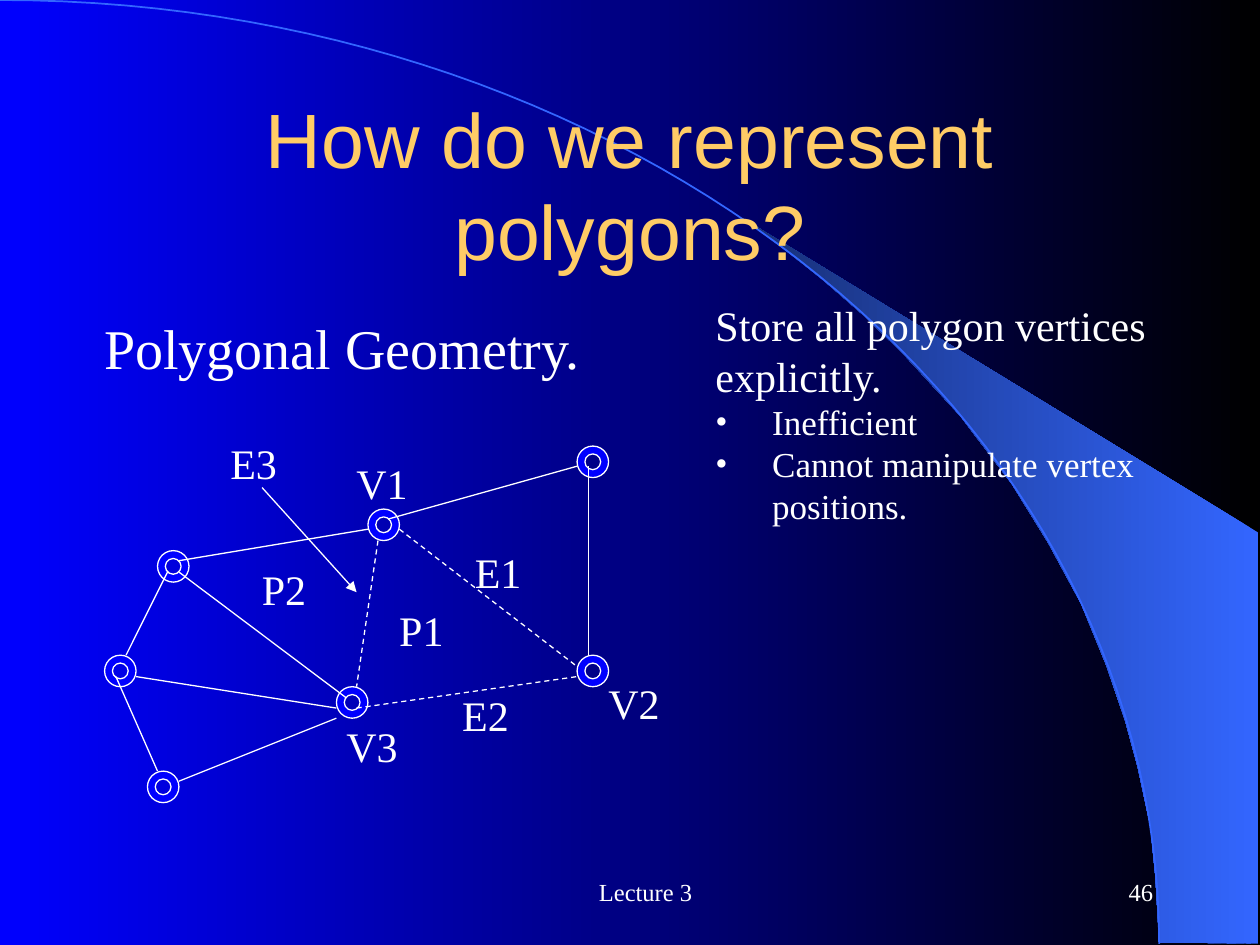
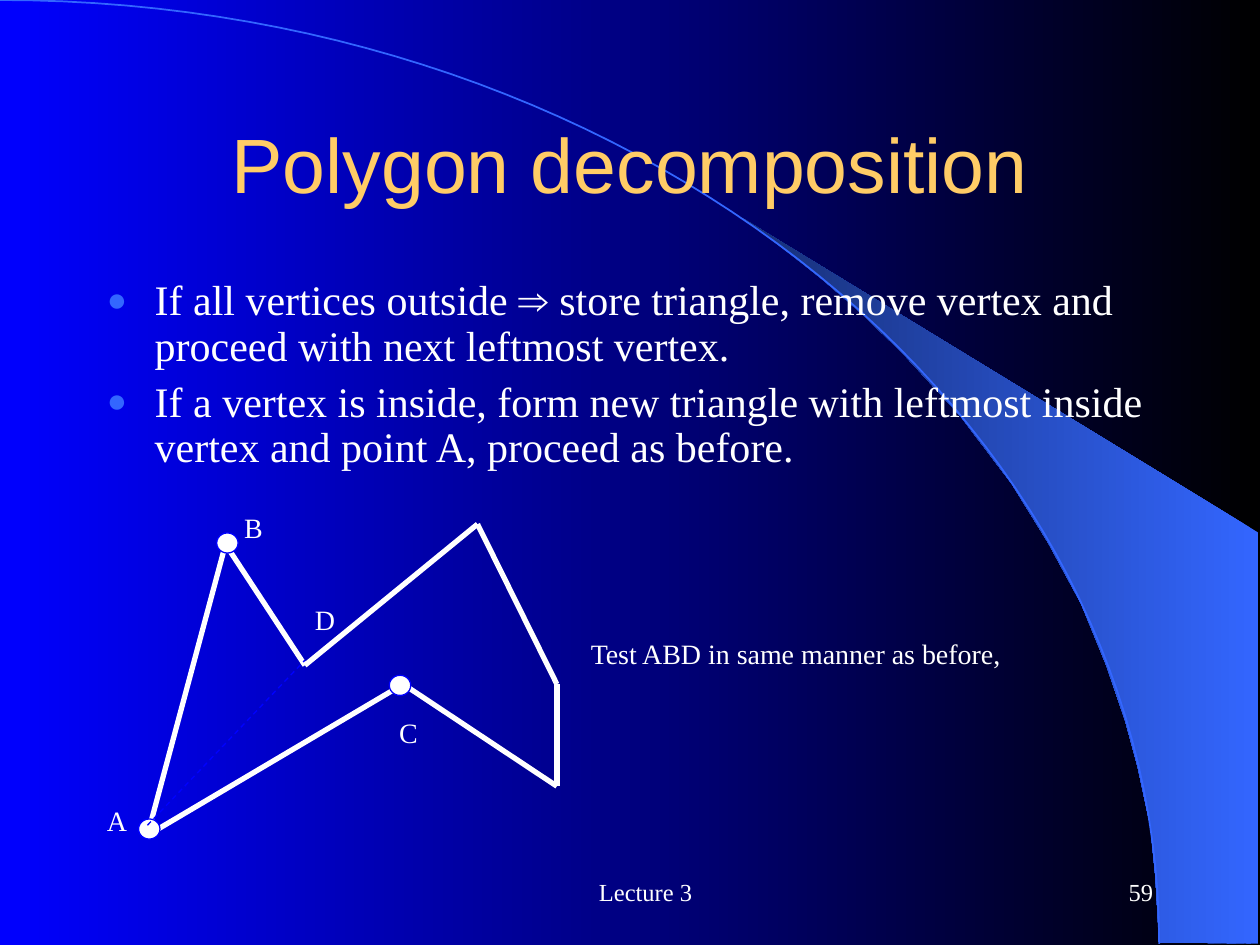
from itertools import pairwise

from lxml.etree import SubElement
from pptx import Presentation
from pptx.dml.color import RGBColor
from pptx.enum.dml import MSO_LINE
from pptx.enum.shapes import MSO_CONNECTOR, MSO_SHAPE
from pptx.enum.text import MSO_ANCHOR, MSO_AUTO_SIZE, PP_ALIGN
from pptx.oxml.ns import qn
from pptx.util import Inches, Pt


class Theme:
    WHITE, BLACK, BLUE = "FFFFFF", "000000", "0000FF"
    GOLD, SKY, NAVY = "FFCC66", "3366FF", "172F75"
    HEADING_FONT, BODY_FONT = "Arial", "Times New Roman"
    TITLE, LEAD, BODY, DETAIL, NOTE, FOOTER = 44, 32, 24, 20, 16, 14


FOOTER_TEXT = "Lecture 3"
SWOOSH = [
    (9.2, 7.48), (9.99, 7.49), (9.99, 4.23), (5.89, 1.73), (6.24, 1.99), (6.53, 2.22),
    (6.85, 2.5), (7.16, 2.8), (7.62, 3.3), (8.03, 3.84), (8.32, 4.31), (8.58, 4.79),
    (8.78, 5.28), (8.93, 5.72), (9.03, 6.09), (9.13, 6.56), (9.17, 6.96),
]
ARC_CONTROLS = [(0, 0), (5.08, 0), (9.2, 3.35), (9.2, 7.49)]
ARC_STEPS = 60

# Mesh: ring corners, edges as (start, end), labels as (text, left, top)
RING_SIZE = 0.25
RINGS = [(1.25, 4.37), (2.67, 5.45), (2.92, 4.04), (0.83, 5.2),
         (1.17, 6.12), (4.58, 3.54), (4.58, 5.2)]
MESH_EDGES = [
    ((1.42, 4.54), (2.75, 5.54)), ((1.08, 5.37), (2.67, 5.62)),
    ((1.33, 4.54), (1, 5.2)), ((0.92, 5.37), (1.25, 6.12)),
    ((1.42, 6.2), (2.67, 5.7)), ((1.42, 4.45), (2.92, 4.2)),
    ((4.67, 3.7), (4.67, 5.2)), ((3.08, 4.12), (4.58, 3.7)),
]
P1_EDGES = [((3, 4.29), (2.83, 5.45)), ((3.17, 4.2), (4.58, 5.29)),
            ((2.83, 5.62), (4.58, 5.37))]
E3_ARROW = ((2.08, 3.87), (2.83, 4.7))
MESH_LABELS = [("V1", 2.73, 3.58), ("V2", 4.73, 5.33), ("V3", 2.65, 5.67),
               ("P1", 3.07, 4.75), ("P2", 1.98, 4.42),
               ("E1", 3.67, 4.29), ("E2", 3.57, 5.42), ("E3", 1.73, 3.42)]
LABEL_WIDTHS = {"V": 0.61, "P": 0.55, "E": 0.57}
STORAGE_RULE = "Store all polygon vertices explicitly."
DRAWBACKS = ["Inefficient", "Cannot manipulate vertex positions."]

# Decomposition: each step is a list of (text, font) runs
STEPS = [
    [("If all vertices outside ", Theme.BODY_FONT), ("⇒", Theme.HEADING_FONT),
     (" store triangle, remove vertex and proceed with next leftmost vertex.",
      Theme.BODY_FONT)],
    [("If a vertex is inside, form new triangle with leftmost inside vertex "
      "and point A, proceed as before.", Theme.BODY_FONT)],
]
OUTLINE = [(1.17, 6.63), (1.79, 4.32), (2.42, 5.28), (3.79, 4.16),
           (4.42, 5.43), (4.42, 6.24), (3.2, 5.43)]
DOTS = [(1.1, 6.5), (1.72, 4.23), (3.09, 5.36)]
NEW_DIAGONAL = ((1.17, 6.55), (2.42, 5.24))
POINT_LABELS = [("A", 0.75, 6.33), ("B", 1.84, 4), ("C", 3.07, 5.63), ("D", 2.4, 4.73)]


def color(value):
    return RGBColor.from_string(value)


def fill_gradient(fill, first, last):
    """Run a gradient from first at the right to last at the left."""
    fill.gradient()
    fill.gradient_angle = 180
    for stop, value, position in zip(fill.gradient_stops, (first, last), (0, 1)):
        stop.color.rgb = color(value)
        stop.position = position


def add_span(para, text, size, font=Theme.BODY_FONT, ink=Theme.WHITE):
    span = para.add_run()
    span.text = text
    span.font.size = Pt(size)
    span.font.name = font
    span.font.color.rgb = color(ink)


def add_box(slide, left, top, width, height, wrap=True):
    box = slide.shapes.add_textbox(*map(Inches, (left, top, width, height)))
    box.text_frame.word_wrap = wrap
    return box.text_frame


def add_label(slide, text, left, top, width, height, size):
    frame = add_box(slide, left, top, width, height, wrap=False)
    add_span(frame.paragraphs[0], text, size)


def add_bullet(para, mark, ink, hang, percent=100):
    properties = para._p.get_or_add_pPr()
    properties.set("marL", str(Inches(hang)))
    properties.set("indent", str(-Inches(hang)))
    holder = SubElement(properties, qn("a:buClr"))
    SubElement(holder, qn("a:srgbClr"), val=ink)
    SubElement(properties, qn("a:buSzPct"), val=str(percent * 1000))
    SubElement(properties, qn("a:buFont"), typeface=Theme.BODY_FONT)
    SubElement(properties, qn("a:buChar"), char=mark)


def add_line(slide, start, end, ink=Theme.WHITE, width=0.75, dashed=False, arrow=False):
    line = slide.shapes.add_connector(
        MSO_CONNECTOR.STRAIGHT, *map(Inches, (*start, *end)))
    line.line.color.rgb = color(ink)
    line.line.width = Pt(width)
    if dashed:
        line.line.dash_style = MSO_LINE.DASH
    if arrow:
        SubElement(line.line._get_or_add_ln(), qn("a:tailEnd"), type="triangle")
    SubElement(line._element.spPr, qn("a:effectLst"))


def add_marker(slide, kind, left, top, width, height, fill, outline):
    marker = slide.shapes.add_shape(kind, *map(Inches, (left, top, width, height)))
    marker.shadow.inherit = False
    marker.fill.solid()
    marker.fill.fore_color.rgb = color(fill)
    marker.line.color.rgb = color(outline)
    marker.line.width = Pt(0.75)
    return marker


def add_outline(slide, points, close):
    first, *rest = [(Inches(x), Inches(y)) for x, y in points]
    builder = slide.shapes.build_freeform(*first)
    builder.add_line_segments(rest, close=close)
    shape = builder.convert_to_shape()
    shape.shadow.inherit = False
    return shape


def arc_point(t):
    """Point of the cubic curve through ARC_CONTROLS at t from 0 to 1."""
    weights = ((1 - t) ** 3, 3 * t * (1 - t) ** 2, 3 * t * t * (1 - t), t ** 3)
    return tuple(sum(w * c for w, c in zip(weights, axis)) for axis in zip(*ARC_CONTROLS))


def decorate_layout(layout, slide):
    """Draw the backdrop on a slide, then hand its shapes to the layout."""
    fill_gradient(layout.background.fill, Theme.BLACK, Theme.BLUE)
    swoosh = add_outline(slide, SWOOSH, close=True)
    fill_gradient(swoosh.fill, Theme.SKY, Theme.NAVY)
    swoosh.line.fill.background()
    arc = add_outline(slide, [arc_point(i / ARC_STEPS) for i in range(ARC_STEPS + 1)],
                      close=False)
    arc.fill.background()
    arc.line.color.rgb = color(Theme.SKY)
    arc.line.width = Pt(1)
    anchor = layout.shapes[0]._element
    for shape in (swoosh, arc):
        anchor.addprevious(shape._element)


def set_title(slide, text, top, height):
    title = slide.shapes.title
    title.left, title.top, title.width, title.height = map(
        Inches, (0.75, top, 8.5, height))
    frame = title.text_frame
    frame.auto_size = MSO_AUTO_SIZE.NONE
    frame.vertical_anchor = MSO_ANCHOR.MIDDLE
    para = frame.paragraphs[0]
    para.alignment = PP_ALIGN.CENTER
    add_span(para, text, Theme.TITLE, Theme.HEADING_FONT, Theme.GOLD)


def add_footer(slide, number):
    parts = [(FOOTER_TEXT, 3.66, 2.93, PP_ALIGN.CENTER),
             (str(number), 7.17, 2.08, PP_ALIGN.RIGHT)]
    for text, left, width, alignment in parts:
        frame = add_box(slide, left, 6.83, width, 0.5)
        frame.vertical_anchor = MSO_ANCHOR.MIDDLE
        frame.paragraphs[0].alignment = alignment
        add_span(frame.paragraphs[0], text, Theme.FOOTER)


def fill_representation(slide):
    set_title(slide, "How do we represent polygons?", 0.92, 1.08)
    add_label(slide, "Polygonal Geometry.", 0.73, 2.44, 4, 0.64, Theme.LEAD)
    for left, top in RINGS:
        ring = add_marker(slide, MSO_SHAPE.DONUT, left, top, RING_SIZE, RING_SIZE,
                          Theme.BLUE, Theme.WHITE)
        ring.adjustments[0] = 0.25
    for start, end in MESH_EDGES:
        add_line(slide, start, end)
    for start, end in P1_EDGES:
        add_line(slide, start, end, dashed=True)
    for text, left, top in MESH_LABELS:
        add_label(slide, text, left, top, LABEL_WIDTHS[text[0]], 0.5, Theme.BODY)
    add_line(slide, *E3_ARROW, arrow=True)

    frame = add_box(slide, 5.58, 2.33, 4.02, 1.9)
    add_span(frame.paragraphs[0], STORAGE_RULE, Theme.BODY)
    for drawback in DRAWBACKS:
        para = frame.add_paragraph()
        add_bullet(para, "•", Theme.WHITE, 0.45)
        add_span(para, drawback, Theme.DETAIL)


def fill_decomposition(slide):
    set_title(slide, "Polygon decomposition", 0.67, 1.25)
    frame = add_box(slide, 0.75, 2.17, 8.5, 1.72)
    for index, step in enumerate(STEPS):
        para = frame.add_paragraph() if index else frame.paragraphs[0]
        add_bullet(para, "●", Theme.SKY, 0.38, percent=80)
        para.line_spacing = 0.9
        if index:
            para.space_before = Pt(6)
        for text, font in step:
            add_span(para, text, Theme.BODY, font)

    for start, end in pairwise(OUTLINE + OUTLINE[:1]):
        add_line(slide, start, end, width=3)
    for left, top in DOTS:
        add_marker(slide, MSO_SHAPE.OVAL, left, top, 0.17, 0.16, Theme.WHITE, Theme.BLUE)
    add_line(slide, *NEW_DIAGONAL, ink=Theme.BLUE, dashed=True)
    for text, left, top in POINT_LABELS:
        add_label(slide, text, left, top, 0.36, 0.37, Theme.NOTE)
    add_label(slide, "Test ABD in same manner as before,", 4.59, 5, 3.48, 0.37, Theme.NOTE)


def main():
    deck = Presentation()
    deck.slide_width, deck.slide_height = Inches(10), Inches(7.5)
    layout = deck.slide_layouts.get_by_name("Title Only")
    pages = [(46, fill_representation), (59, fill_decomposition)]
    for index, (number, fill_page) in enumerate(pages):
        slide = deck.slides.add_slide(layout)
        if index == 0:
            decorate_layout(layout, slide)
        fill_page(slide)
        add_footer(slide, number)
    deck.save("out.pptx")


if __name__ == "__main__":
    main()
